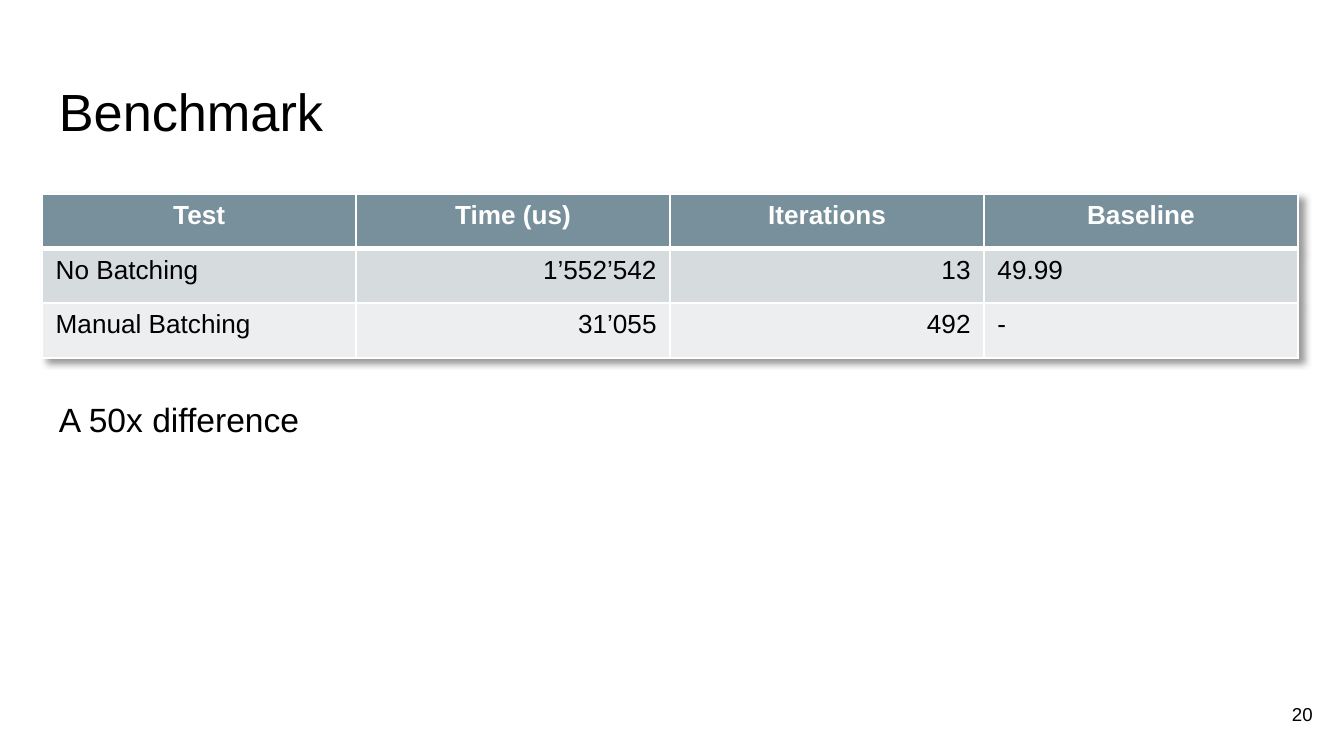
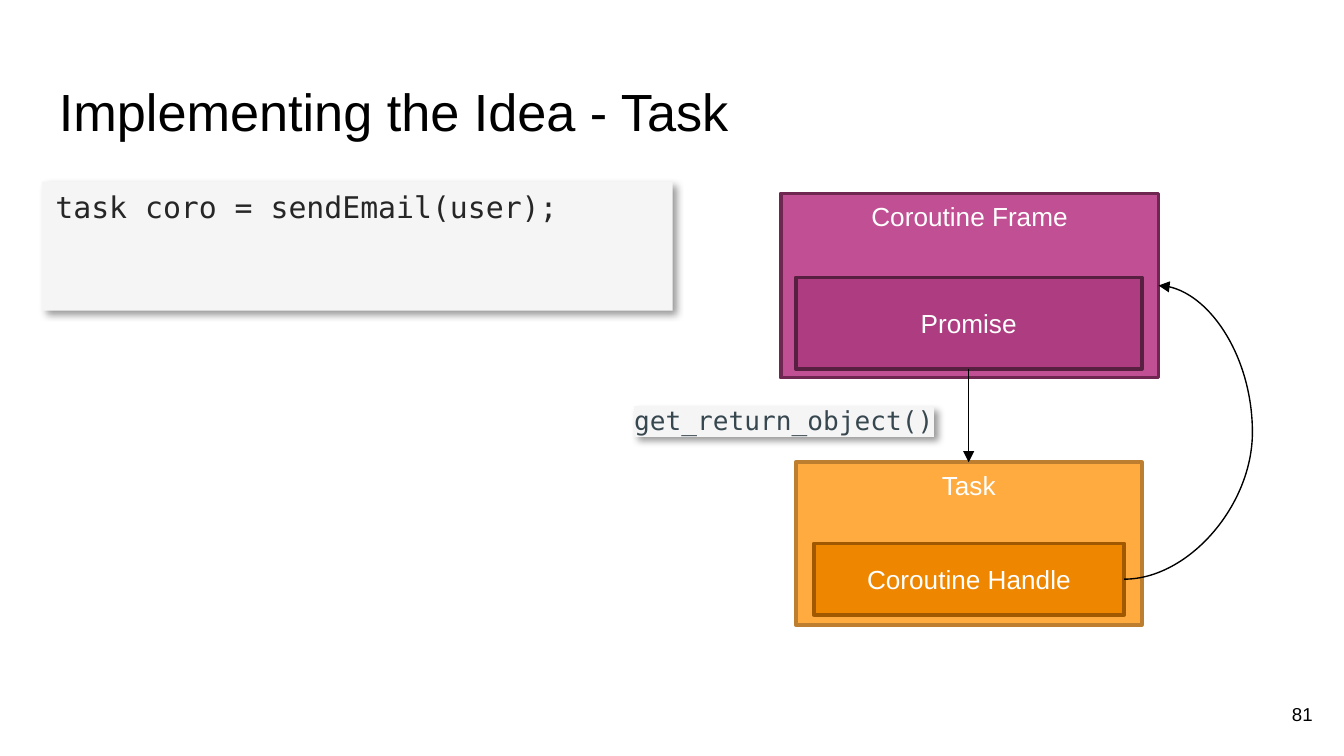
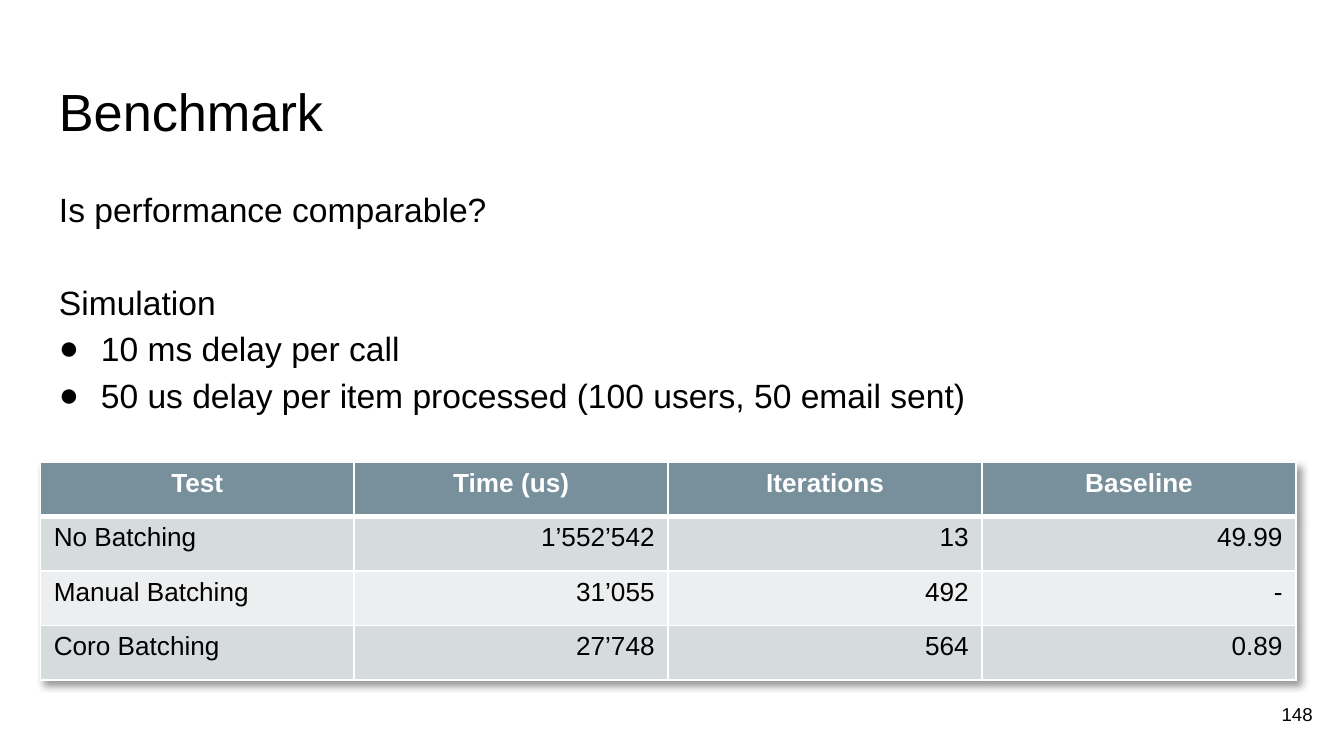
from dataclasses import dataclass

from pptx import Presentation
from pptx.dml.color import RGBColor
from pptx.enum.shapes import MSO_CONNECTOR, MSO_SHAPE
from pptx.enum.text import MSO_ANCHOR, MSO_AUTO_SIZE, PP_ALIGN
from pptx.oxml import parse_xml
from pptx.oxml.ns import nsdecls, qn
from pptx.util import Pt

RECT = MSO_SHAPE.RECTANGLE
STRAIGHT, CURVE = MSO_CONNECTOR.STRAIGHT, MSO_CONNECTOR.CURVE
TOP, MIDDLE = MSO_ANCHOR.TOP, MSO_ANCHOR.MIDDLE
FIT_SHAPE = MSO_AUTO_SIZE.SHAPE_TO_FIT_TEXT
LEFT, CENTER, RIGHT = PP_ALIGN.LEFT, PP_ALIGN.CENTER, PP_ALIGN.RIGHT
ALIGNS = {"l": LEFT, "c": CENTER, "r": RIGHT}
SIDE_TOP, SIDE_BOTTOM, SIDE_RIGHT = 0, 2, 3
GRID_COLS, GRID_ROWS = 100, 56.25


@dataclass(frozen=True)
class Theme:
    """Colours, fonts and type sizes of the deck."""
    sans: str = "Arial"
    mono: str = "DejaVu Sans Mono"
    ink: str = "000000"
    paper: str = "FFFFFF"
    header: str = "78909C"
    bands: tuple = ("D6DBDE", "ECEEEF")
    code_fill: str = "F5F5F5"
    code_ink: str = "262626"
    label_ink: str = "37474F"
    frame: tuple = ("C14F93", "6F2752")
    promise: tuple = ("AD3D80", "571F40")
    task: tuple = ("FFAB40", "BD7F2F")
    handle: tuple = ("EF8600", "A05900")
    title_size: int = 28
    body_size: int = 18
    code_size: int = 16
    label_size: int = 14
    number_size: int = 10
    leading: float = 1.15


def element(tag, content="", attrs=""):
    """Build a DrawingML element."""
    return parse_xml(f"<a:{tag} {nsdecls('a')} {attrs}>{content}</a:{tag}>")


def colour(value):
    """Return the XML of a plain colour."""
    return f'<a:srgbClr val="{value}"/>'


def drop_shadow():
    """Build the soft shadow shared by code and tables."""
    return element("outerShdw", '<a:srgbClr val="000000"><a:alpha val="40000"/></a:srgbClr>',
                   f'blurRad="{Pt(4)}" dist="{Pt(3)}" dir="2700000" algn="bl" rotWithShape="0"')


class Deck:
    """Hold the style and the current slide, and draw elements on a grid."""

    def __init__(self, theme):
        """Start an empty deck."""
        self.theme = theme
        self.prs = Presentation()
        self.prs.slide_width, self.prs.slide_height = Pt(720), Pt(405)
        self.slide = None

    def place(self, left, top, width, height):
        """Turn grid columns and rows into slide lengths."""
        col, row = self.prs.slide_width / GRID_COLS, self.prs.slide_height / GRID_ROWS
        return round(left * col), round(top * row), round(width * col), round(height * row)

    def add_slide(self, title, number):
        """Open a slide with its title and number."""
        self.slide = self.prs.slides.add_slide(self.prs.slide_layouts[6])
        self.text((3.4, 4.9, 93.2, 6.3), [title], self.theme.title_size)
        self.text((92.65, 51, 6, 4.3), [number], self.theme.number_size, RIGHT, MIDDLE)

    def style(self, p, size, ink=None, font=None, align=LEFT, bold=False):
        """Format a paragraph and its runs."""
        p.alignment = align
        for r in p.runs:
            r.font.size, r.font.name, r.font.bold = Pt(size), font or self.theme.sans, bold
            r.font.color.rgb = RGBColor.from_string(ink or self.theme.ink)

    def margins(self, tf, left=1, top=1, right=1, bottom=1):
        """Set the insets of a text frame."""
        tf.margin_left, tf.margin_top, tf.margin_right, tf.margin_bottom = self.place(
            left, top, right, bottom)

    def text(self, at, lines, size, align=LEFT, anchor=TOP):
        """Add a text box with one paragraph per line."""
        tf = self.slide.shapes.add_textbox(*self.place(*at)).text_frame
        tf.word_wrap, tf.vertical_anchor = True, anchor
        self.margins(tf)
        tf.text = "\n".join(lines)
        for p in tf.paragraphs:
            self.style(p, size, align=align)
        return tf

    def body(self, at, lines, bullets=()):
        """Add body copy, with bullets closing the last block."""
        tf = self.text(at, [*lines, *bullets], self.theme.body_size)
        for i, p in enumerate(tf.paragraphs):
            p.line_spacing = self.theme.leading
            if i < len(lines) - 1:
                p.space_after = Pt(25)
            if i >= len(lines):
                pPr = p._p.get_or_add_pPr()
                indent = self.place(3.12, 0, 0, 0)[0]
                pPr.set("marL", str(indent))
                pPr.set("indent", str(-indent))
                pPr.append(element("buClr", colour(self.theme.ink)))
                pPr.append(element("buFont", attrs=f'typeface="{self.theme.sans}"'))
                pPr.append(element("buChar", attrs='char="●"'))

    def box(self, at, text, colours, anchor=TOP):
        """Add an outlined rectangle with a centred label."""
        sp = self.slide.shapes.add_shape(RECT, *self.place(*at))
        sp.shadow.inherit = False
        fill, line = colours
        sp.fill.solid()
        sp.fill.fore_color.rgb = RGBColor.from_string(fill)
        sp.line.color.rgb = RGBColor.from_string(line)
        sp.line.width = Pt(2)
        tf = sp.text_frame
        tf.text, tf.vertical_anchor = text, anchor
        self.style(tf.paragraphs[0], self.theme.label_size, self.theme.paper, align=CENTER)
        return sp

    def shade(self, sp):
        """Give a shape the soft shadow."""
        sp.shadow.inherit = False
        sp._element.spPr.find(qn("a:effectLst")).append(drop_shadow())

    def code(self, at, text):
        """Add a shaded code panel."""
        sp = self.slide.shapes.add_shape(RECT, *self.place(*at))
        sp.fill.solid()
        sp.fill.fore_color.rgb = RGBColor.from_string(self.theme.code_fill)
        sp.line.fill.background()
        self.shade(sp)
        tf = sp.text_frame
        tf.text, tf.vertical_anchor = text, TOP
        self.margins(tf, top=0.5, right=0, bottom=0.5)
        self.style(tf.paragraphs[0], self.theme.code_size, self.theme.code_ink, self.theme.mono)

    def code_label(self, at, text):
        """Add a highlighted line of code."""
        sp = self.slide.shapes.add_textbox(*self.place(*at))
        self.shade(sp)
        tf = sp.text_frame
        tf.text, tf.word_wrap, tf.auto_size = text, True, FIT_SHAPE
        p = tf.paragraphs[0]
        self.style(p, self.theme.label_size, self.theme.label_ink, self.theme.mono)
        fill = p.runs[0]._r.rPr.find(qn("a:solidFill"))
        fill.addnext(element("highlight", colour(self.theme.code_fill)))

    def arrow(self, start, start_side, end, end_side, bend=None):
        """Join two boxes with an arrow, curved when a bend is given."""
        kind = STRAIGHT if bend is None else CURVE
        cxn = self.slide.shapes.add_connector(kind, 0, 0, 0, 0)
        cxn.begin_connect(start, start_side)
        cxn.end_connect(end, end_side)
        cxn.line.color.rgb = RGBColor.from_string(self.theme.ink)
        cxn.line.width = Pt(0.75)
        cxn.line._get_or_add_ln().append(element("tailEnd", attrs='type="triangle"'))
        spPr = cxn._element.spPr
        spPr.append(element("effectLst"))
        if bend is not None:
            guides = spPr.find(qn("a:prstGeom")).get_or_add_avLst()
            guides.append(element("gd", attrs=f'name="adj1" fmla="val {round(bend * 100000)}"'))

    def cell(self, cell, text, fill, ink, align, bold, rules):
        """Fill one table cell and rule its four sides."""
        cell.text = text
        self.style(cell.text_frame.paragraphs[0], self.theme.label_size, ink,
                   align=align, bold=bold)
        tcPr = cell._tc.get_or_add_tcPr()
        line = f"<a:solidFill>{colour(self.theme.paper)}</a:solidFill>"
        for side, width in zip("LRTB", rules):
            tcPr.append(element(f"ln{side}", line, f'w="{Pt(width)}"'))
        cell.fill.solid()
        cell.fill.fore_color.rgb = RGBColor.from_string(fill)

    def table(self, left, top, rows, aligns):
        """Add a banded table with a header row and equal columns."""
        t = self.theme
        at = self.place(left, top, 93.44, 4.06 * len(rows))
        table = self.slide.shapes.add_table(len(rows), len(aligns), *at).table
        effects = element("effectLst")
        effects.append(drop_shadow())
        table._tbl.tblPr.insert(0, effects)
        for i, row in enumerate(rows):
            head = i == 0
            fill = t.header if head else t.bands[(i - 1) % 2]
            rules = (1, 1, 3 if i == 1 else 1, 3 if head else 1)
            for j, text in enumerate(row):
                align = CENTER if head else ALIGNS[aligns[j]]
                self.cell(table.cell(i, j), text, fill, t.paper if head else t.ink,
                          align, head, rules)


def main():
    """Build the three slides."""
    theme = Theme()
    deck = Deck(theme)
    results = [
        ("Test", "Time (us)", "Iterations", "Baseline"),
        ("No Batching", "1’552’542", "13", "49.99"),
        ("Manual Batching", "31’055", "492", "-"),
    ]

    deck.add_slide("Benchmark", "20")
    deck.table(3.14, 14.44, results, "lrrl")
    deck.body((3.4, 28.25, 93.2, 17.9), ["A 50x difference"])

    deck.add_slide("Implementing the Idea - Task", "81")
    frame = deck.box((58.1, 14.4, 28.1, 13.7), "Coroutine Frame", theme.frame)
    promise = deck.box((59.2, 20.65, 25.75, 6.8), "Promise", theme.promise, MIDDLE)
    task = deck.box((59.2, 34.4, 25.75, 12.1), "Task", theme.task)
    handle = deck.box((60.55, 40.45, 23.1, 5.3), "Coroutine Handle", theme.handle, MIDDLE)
    deck.arrow(handle, SIDE_RIGHT, frame, SIDE_RIGHT, bend=3.74)
    deck.arrow(promise, SIDE_BOTTOM, task, SIDE_TOP)
    deck.code((3.14, 13.52, 46.9, 9.6), "task coro = sendEmail(user);")
    deck.code_label((46.2, 29.6, 25.3, 3.4), "get_return_object()")

    deck.add_slide("Benchmark", "148")
    deck.body((3.4, 12.6, 93.2, 37.4), ["Is performance comparable?", "Simulation"],
              ["10 ms delay per call", "50 us delay per item processed (100 users, 50 email sent)"])
    deck.table(3, 34.36, [*results, ("Coro Batching", "27’748", "564", "0.89")], "lrrr")

    deck.prs.save("out.pptx")


if __name__ == "__main__":
    main()
